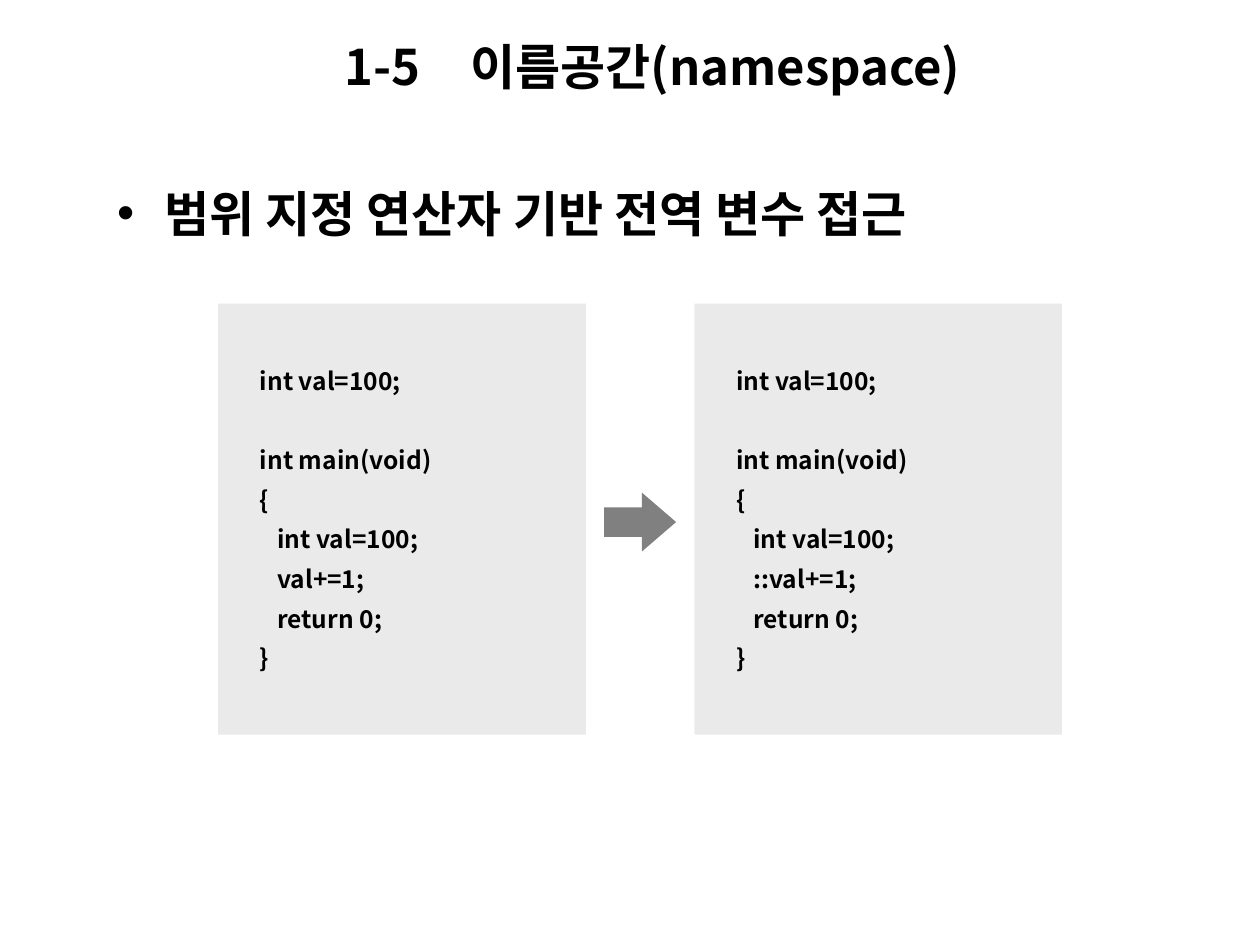
from lxml import etree
from pptx import Presentation
from pptx.dml.color import RGBColor
from pptx.enum import shapes, text
from pptx.oxml import ns
from pptx.util import Cm, Pt

FONT = "Noto Sans CJK KR"
COLORS = {"ink": "000000", "panel": "EAEAEA", "arrow": "808080"}


def color(name):
    return RGBColor.from_string(COLORS[name])


def write(para, words, size=14, bold=True, ink="ink", line=1.0,
          before=0, left=0, hang=0, tab=None):
    """Put formatted words in a paragraph; left, hang and tab are in cm."""
    run = para.add_run()
    run.text = words
    font = run.font
    font.name, font.size, font.bold = FONT, Pt(size), bold
    font.color.rgb = color(ink)
    east = etree.SubElement(run._r.get_or_add_rPr(), ns.qn("a:ea"))
    east.set("typeface", FONT)
    para.alignment = text.PP_ALIGN.LEFT
    para.line_spacing = line
    para.space_before = Pt(before)
    props = para._p.get_or_add_pPr()
    props.set("marL", str(Cm(left)))
    props.set("indent", str(Cm(-hang)))
    if tab:
        stops = etree.SubElement(props, ns.qn("a:tabLst"))
        etree.SubElement(stops, ns.qn("a:tab"), pos=str(Cm(tab)), algn="l")


def place(item, box):
    item.left, item.top, item.width, item.height = map(Cm, box)


def frame(item, anchor, insets=(0.25, 0.13, 0.25, 0.13)):
    area = item.text_frame
    area.word_wrap = True
    area.auto_size = text.MSO_AUTO_SIZE.NONE
    area.vertical_anchor = anchor
    (area.margin_left, area.margin_top,
     area.margin_right, area.margin_bottom) = map(Cm, insets)
    return area


def block(slide, kind, box, fill):
    item = slide.shapes.add_shape(kind, *map(Cm, box))
    item.shadow.inherit = False
    item.fill.solid()
    item.fill.fore_color.rgb = color(fill)
    item.line.fill.background()
    return item


def title(slide, box):
    item = slide.shapes.title
    place(item, box)
    area = frame(item, text.MSO_ANCHOR.MIDDLE)
    write(area.paragraphs[0], "1-5\t이름공간(namespace)", size=28, tab=2.23)


def topic(slide, box):
    item = slide.placeholders[1]
    place(item, box)
    area = frame(item, text.MSO_ANCHOR.TOP)
    write(area.paragraphs[0], "범위 지정 연산자 기반 전역 변수 접근",
          size=28, line=1.2, before=7, left=0.96, hang=0.96)


def panel(slide, box, change):
    """Code listing; each line has its text, indent and space before."""
    item = block(slide, shapes.MSO_SHAPE.RECTANGLE, box, "panel")
    area = frame(item, text.MSO_ANCHOR.MIDDLE, (0.84, 0.33, 0.25, 0.53))
    step = 0.35
    lines = [("int val=100;", 0, 0), ("int main(void)", 0, 22.7), ("{", 0, 0),
             ("int val=100;", step, 0), (change, step, 0),
             ("return 0;", step, 0), ("}", 0, 0)]
    for i, (words, left, before) in enumerate(lines):
        para = area.add_paragraph() if i else area.paragraphs[0]
        write(para, words, line=1.35, left=left, before=before)


def compare(slide, box):
    """Two code panels with an arrow centred in the gap."""
    x, y, w, h = box
    wide, tip_w, tip_h = 7.41, 1.45, 1.19
    panel(slide, (x, y, wide, h), "val+=1;")
    panel(slide, (x + w - wide, y, wide, h), "::val+=1;")
    # Arrow sits slightly below the middle
    tip = block(slide, shapes.MSO_SHAPE.RIGHT_ARROW,
                (x + (w - tip_w) / 2, y + (h - tip_h) / 2 + 0.06,
                 tip_w, tip_h), "arrow")
    tip.adjustments[0], tip.adjustments[1] = 0.5, 0.58


def main():
    deck = Presentation()
    deck.slide_width, deck.slide_height = Cm(25.4), Cm(19.05)
    slide = deck.slides.add_slide(deck.slide_layouts[1])
    title(slide, (6.7, 0.61, 13.19, 1.45))
    topic(slide, (2.11, 3.33, 18.7, 1.68))
    compare(slide, (4.4, 6.12, 17.01, 8.69))
    deck.save("out.pptx")


if __name__ == "__main__":
    main()
